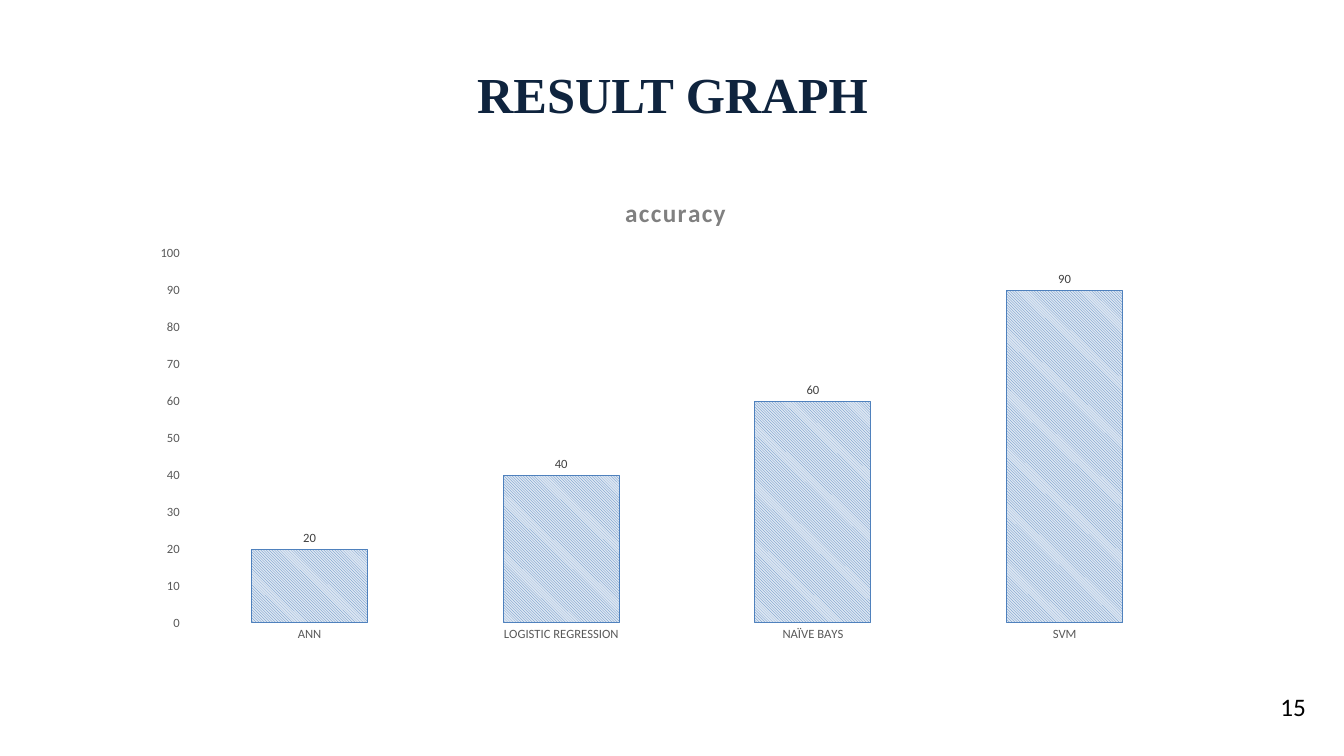
from dataclasses import dataclass

from pptx import Presentation
from pptx.chart.data import CategoryChartData
from pptx.dml.color import RGBColor
from pptx.enum.chart import XL_CHART_TYPE, XL_LABEL_POSITION, XL_TICK_MARK
from pptx.enum.dml import MSO_PATTERN
from pptx.enum.text import MSO_ANCHOR, PP_ALIGN
from pptx.util import Emu, Pt

EMU_PER_PX = 9144  # 100 px to the inch


@dataclass(frozen=True)
class Theme:
    heading_font: str = "Times New Roman"
    body_font: str = "Calibri"
    navy: str = "0F243E"
    black: str = "000000"
    title_gray: str = "808080"
    axis_gray: str = "595959"
    label_gray: str = "404040"
    bar_blue: str = "4F81BD"
    bar_pale: str = "DCE6F2"
    heading_size: int = 36
    body_size: int = 18
    chart_size: int = 10
    axis_size: int = 9


class SlideBuilder:
    def __init__(self, deck, theme):
        self.theme = theme
        self.page = deck.slides.add_slide(deck.slide_layouts[6])

    def place(self, *lengths):
        return [Emu(length * EMU_PER_PX) for length in lengths]

    def style(self, font, size, color, name=None, bold=False):
        font.name = name or self.theme.body_font
        font.size = Pt(size)
        font.bold = bold
        font.color.rgb = RGBColor.from_string(color)

    def text(self, frame, words, align, size, color, name=None, bold=False):
        frame.text = words
        para = frame.paragraphs[0]
        para.alignment = align
        span = para.runs[0]
        self.style(span.font, size, color, name, bold)
        return span

    def text_box(self, area, words, align, size, color, name=None, bold=False):
        frame = self.page.shapes.add_textbox(*self.place(*area)).text_frame
        frame.word_wrap = True
        frame.vertical_anchor = MSO_ANCHOR.MIDDLE
        self.text(frame, words, align, size, color, name, bold)

    def axis(self, axis):
        axis.major_tick_mark = axis.minor_tick_mark = XL_TICK_MARK.NONE
        axis.has_major_gridlines = False
        axis.format.line.fill.background()
        self.style(axis.tick_labels.font, self.theme.axis_size, self.theme.axis_gray)

    def column_chart(self, area, name, values):
        theme = self.theme
        data = CategoryChartData()
        data.categories = list(values)
        data.add_series(name, list(values.values()))
        chart = self.page.shapes.add_chart(
            XL_CHART_TYPE.COLUMN_CLUSTERED, *self.place(*area), data).chart
        self.style(chart.font, theme.chart_size, theme.black)
        chart.has_legend = False

        # Chart title with letter spacing in hundredths of a point
        chart.has_title = True
        chart.chart_title.include_in_layout = False
        span = self.text(chart.chart_title.text_frame, name, PP_ALIGN.CENTER,
                         theme.body_size, theme.title_gray, bold=True)
        span.font._element.set("spc", "100")

        # Axes
        self.axis(chart.category_axis)
        self.axis(chart.value_axis)
        chart.value_axis.minimum_scale = 0
        chart.value_axis.maximum_scale = 100
        chart.value_axis.major_unit = 10

        # Hatched columns
        plot = chart.plots[0]
        plot.gap_width = 117
        plot.vary_by_categories = False
        columns = plot.series[0].format
        columns.fill.patterned()
        columns.fill.pattern = MSO_PATTERN.LIGHT_DOWNWARD_DIAGONAL
        columns.fill.fore_color.rgb = RGBColor.from_string(theme.bar_blue)
        columns.fill.back_color.rgb = RGBColor.from_string(theme.bar_pale)
        columns.line.color.rgb = RGBColor.from_string(theme.bar_blue)
        columns.line.width = Pt(0.75)

        # Value labels
        labels = plot.series[0].data_labels
        labels.show_value = True
        labels.position = XL_LABEL_POSITION.OUTSIDE_END
        self.style(labels.font, theme.axis_size, theme.label_gray)


def main():
    theme = Theme()
    deck = Presentation()
    deck.slide_width, deck.slide_height = Emu(1333 * EMU_PER_PX), Emu(750 * EMU_PER_PX)
    slide = SlideBuilder(deck, theme)

    # Heading
    slide.text_box((67, 30, 1200, 125), "RESULT GRAPH", PP_ALIGN.CENTER,
                   theme.heading_size, theme.navy, theme.heading_font, bold=True)

    # Accuracy of each model
    slide.column_chart((138, 175, 1064, 471), "accuracy", {
        "ANN": 20, "LOGISTIC REGRESSION": 40, "NAÏVE BAYS": 60, "SVM": 90})

    # Page number
    slide.text_box((1006, 681, 299, 40), "15", PP_ALIGN.RIGHT,
                   theme.body_size, theme.black)

    deck.save("out.pptx")


if __name__ == "__main__":
    main()
